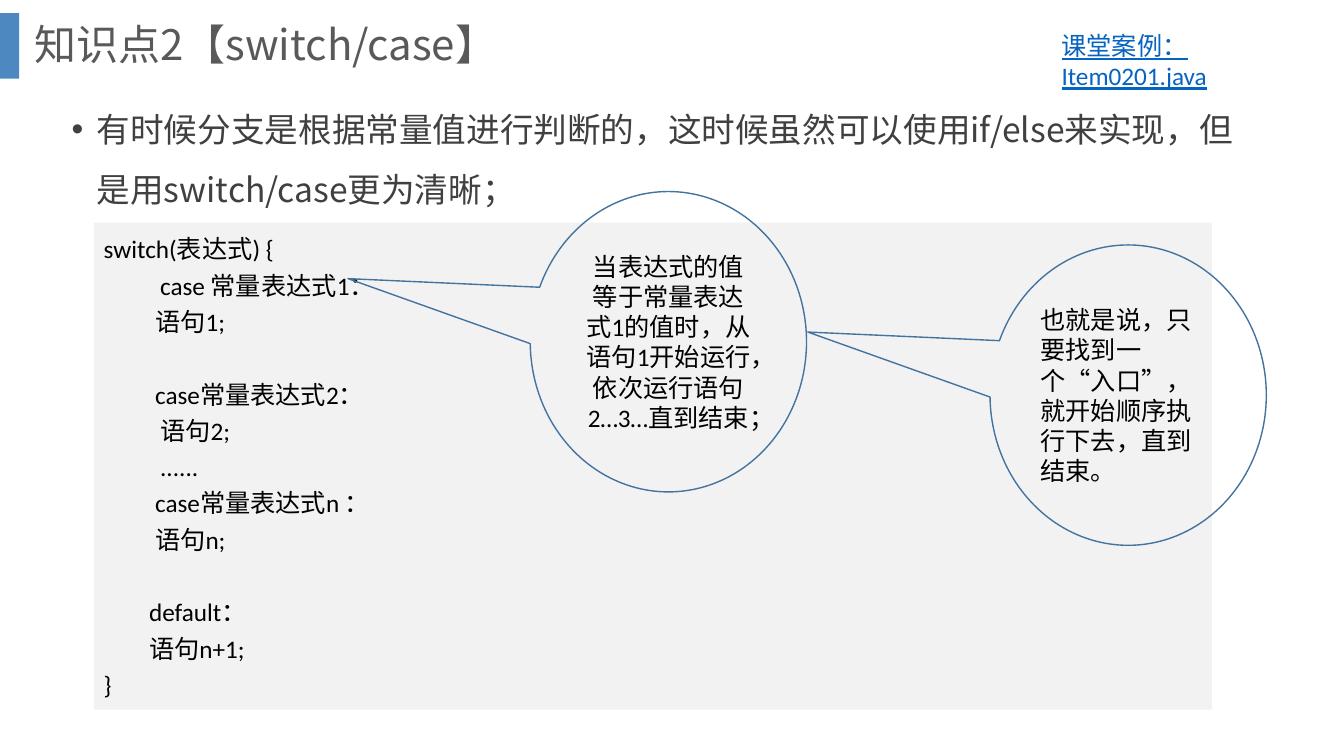
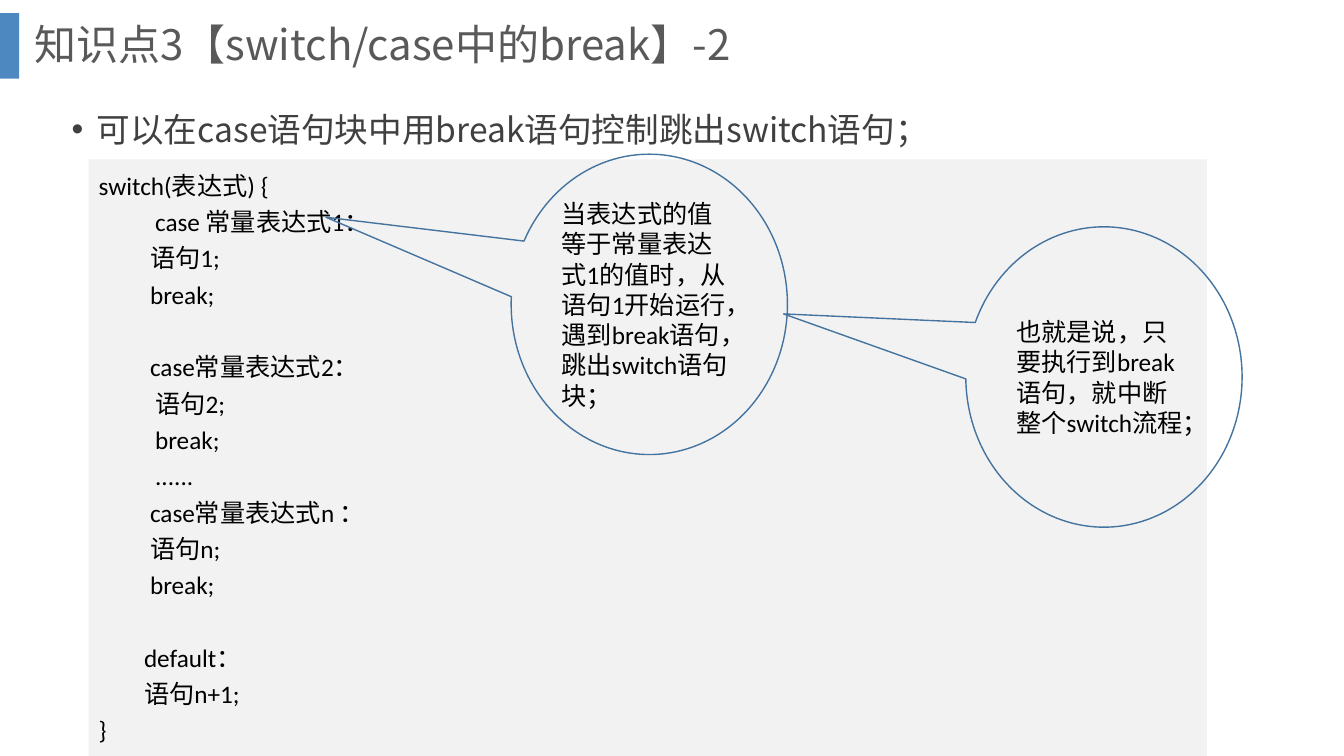
from lxml import etree
from pptx import Presentation, util as u
from pptx.dml.color import RGBColor
from pptx.enum import shapes, text
from pptx.oxml import ns

PX = 9144  # 100 px to the inch
SANS, CODE = "Noto Sans CJK SC", "Calibri"
BLUE = RGBColor(0x2E, 0x75, 0xB6)
EDGE = RGBColor(0x43, 0x73, 0x9E)
LINK = RGBColor(0x05, 0x63, 0xC1)
PALE = RGBColor(0xF2, 0xF2, 0xF2)
GREY = RGBColor(0x59, 0x59, 0x59)
DARK = RGBColor(0x40, 0x40, 0x40)
BLACK = RGBColor(0, 0, 0)
LEFT, MID = text.PP_ALIGN.LEFT, text.PP_ALIGN.CENTER
TOP, CORE = text.MSO_ANCHOR.TOP, text.MSO_ANCHOR.MIDDLE

BAND = (0, 13, 19, 65)
TITLE = (24, 0, 1266, 93)
STEPS = {0: 0, 1: 45, 2: 51, 3: 56}  # code indent by level, px
GAP = 26  # points above a new block of code
BALL = (274, 298)

# Content: code lines are (level, text, starts a new block)
SLIDES = [
    {"title": "知识点2【switch/case】",
     "body": "有时候分支是根据常量值进行判断的，这时候虽然可以使用if/else来实现，但是用switch/case更为清晰；",
     "place": (61, 83, 1205, 128),
     "panel": (93, 221, 1109, 483),
     "code": [(0, "switch(表达式) {", False),
              (3, "case 常量表达式1：", False),
              (2, "语句1;", False),
              (2, "case常量表达式2：", True),
              (3, "语句2;", False),
              (3, "......", False),
              (2, "case常量表达式n ：", False),
              (2, "语句n;", False),
              (1, "default：", True),
              (1, "语句n+1;", False),
              (0, "}", False)],
     "balls": [(526, 190, -1.16, -0.21, MID,
                "当表达式的值等于常量表达式1的值时，从语句1开始运行，依次运行语句2…3…直到结束；"),
               (982, 243, -1.16, -0.21, LEFT,
                "也就是说，只要找到一个“入口”，就开始顺序执行下去，直到结束。")],
     "link": ("课堂案例：Item0201.java", (1043, 25, 228, 71))},
    {"title": "知识点3【switch/case中的break】-2",
     "body": "可以在case语句块中用break语句控制跳出switch语句；",
     "place": (61, 83, 1205, 79),
     "panel": (88, 158, 1109, 592),
     "code": [(0, "switch(表达式) {", False),
              (3, "case 常量表达式1：", False),
              (2, "语句1;", False),
              (2, "break;", False),
              (2, "case常量表达式2：", True),
              (3, "语句2;", False),
              (3, "break;", False),
              (3, "......", False),
              (2, "case常量表达式n ：", False),
              (2, "语句n;", False),
              (2, "break;", False),
              (1, "default：", True),
              (1, "语句n+1;", False),
              (0, "}", False)],
     "balls": [(507, 153, -1.17, -0.29, LEFT,
                "当表达式的值等于常量表达式1的值时，从语句1开始运行，遇到break语句，跳出switch语句块；"),
               (958, 225, -1.16, -0.21, LEFT,
                "也就是说，只要执行到break语句，就中断整个switch流程；")]},
]


def emu(box):
    return [n * PX for n in box]


def move(item, box):
    item.left, item.top, item.width, item.height = emu(box)


def write(item, lines, size=18, color=BLACK, font=CODE, align=LEFT,
          anchor=TOP, space=1.0, line=False):
    """Fill item with lines of (text, left px, first px, points above)."""
    frame = item.text_frame
    frame.word_wrap = True
    frame.auto_size = text.MSO_AUTO_SIZE.NONE
    frame.vertical_anchor = anchor
    for i, (words, left, first, above) in enumerate(lines):
        para = frame.paragraphs[0] if i == 0 else frame.add_paragraph()
        para.alignment, para.line_spacing = align, space
        para.space_before = u.Pt(above)
        props = para._p.get_or_add_pPr()
        props.set("marL", str(left * PX))
        props.set("indent", str(first * PX))
        run = para.add_run()
        run.text = words
        run.font.size, run.font.name = u.Pt(size), font
        run.font.color.rgb = color
        run.font.underline = line
        # Typeface for the Chinese letters
        latin = run.font._element.find(ns.qn("a:latin"))
        east = etree.Element(ns.qn("a:ea"), typeface=SANS)
        latin.addnext(east)


def draw(slide, kind, box, fill=None, edge=None):
    item = slide.shapes.add_shape(kind, *emu(box))
    item.shadow.inherit = False
    if fill is None:
        item.fill.background()
    else:
        item.fill.solid()
        item.fill.fore_color.rgb = fill
    if edge is None:
        item.line.fill.background()
    else:
        item.line.color.rgb = edge
        item.line.width = u.Pt(1)
    return item


def share(layout, slide):
    """Put the band on the layout, so that every slide shows it."""
    band = draw(slide, shapes.MSO_SHAPE.RECTANGLE, BAND, BLUE)
    tint = band.element.find(".//" + ns.qn("a:srgbClr"))
    etree.SubElement(tint, ns.qn("a:alpha"), val="85000")
    layout.shapes.element.insert(2, band.element)


def build(slide, data):
    # Title and bullet
    title, body = slide.shapes.title, slide.placeholders[1]
    move(title, TITLE)
    write(title, [(data["title"], 0, 0, 0)], size=30, color=GREY,
          font=SANS, anchor=CORE, space=0.9)
    move(body, data["place"])
    write(body, [(data["body"], 25, -25, 10)], size=24, color=DARK,
          font=SANS, space=1.5)
    # Code panel
    panel = draw(slide, shapes.MSO_SHAPE.RECTANGLE, data["panel"], PALE)
    write(panel, [(words, STEPS[level], 0, GAP if new else 0)
                  for level, words, new in data["code"]], space=1.2)
    # Callouts
    for left, top, tipx, tipy, align, words in data["balls"]:
        ball = draw(slide, shapes.MSO_SHAPE.OVAL_CALLOUT,
                    (left, top, *BALL), edge=EDGE)
        ball.adjustments[0], ball.adjustments[1] = tipx, tipy
        write(ball, [(words, 0, 0, 0)], align=align, anchor=CORE)
    # Example file
    if "link" in data:
        words, box = data["link"]
        note = slide.shapes.add_textbox(*emu(box))
        write(note, [(words, 0, 0, 0)], color=LINK, line=True)


def main():
    deck = Presentation()
    deck.slide_width, deck.slide_height = emu((1333, 750))
    layout = deck.slide_layouts[1]
    for i, data in enumerate(SLIDES):
        slide = deck.slides.add_slide(layout)
        if i == 0:
            share(layout, slide)
        build(slide, data)
    deck.save("out.pptx")


if __name__ == "__main__":
    main()
